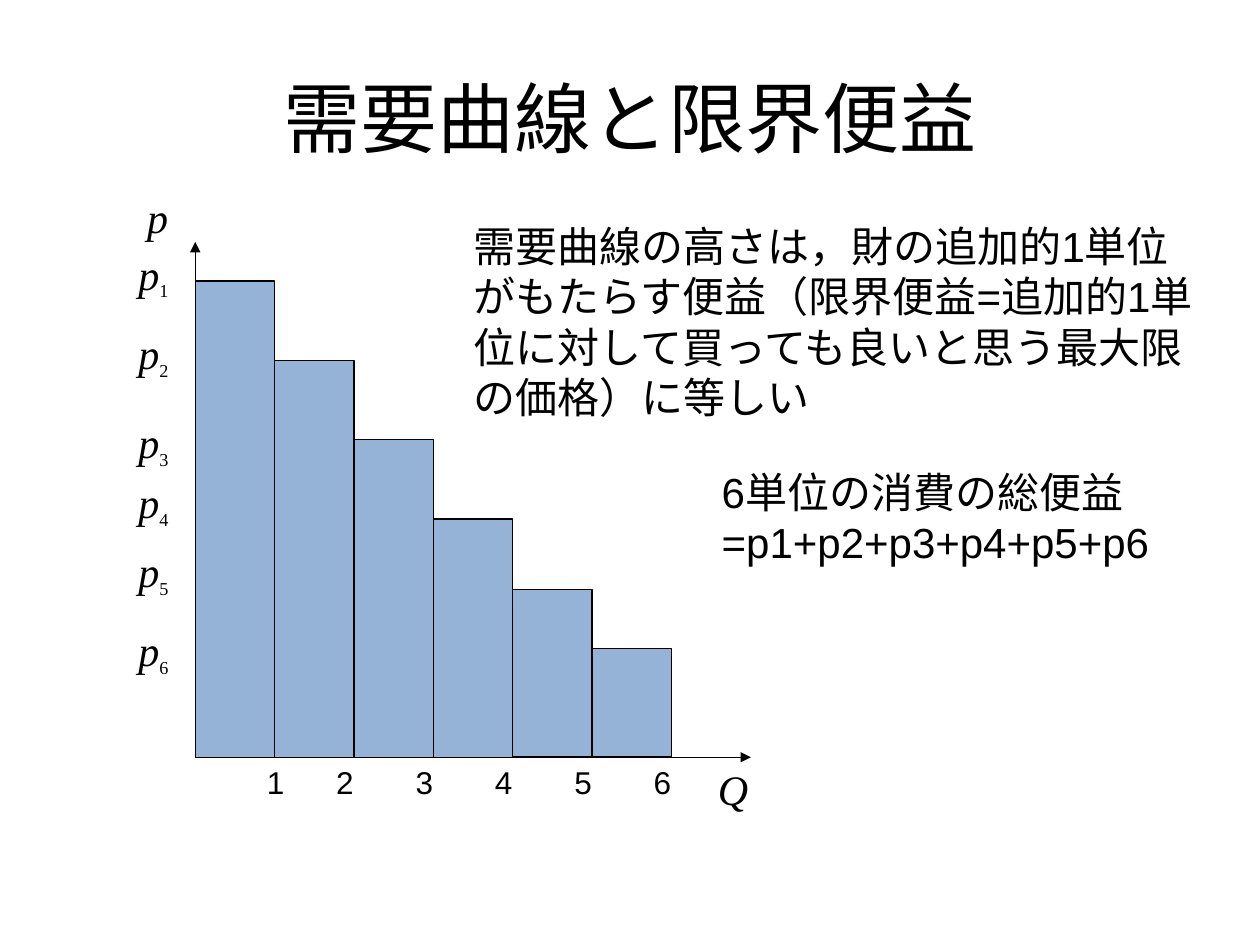
from lxml import etree
from pptx import Presentation
from pptx.dml.color import RGBColor
from pptx.enum.shapes import MSO_CONNECTOR, MSO_SHAPE
from pptx.enum.text import MSO_ANCHOR, MSO_AUTO_SIZE, PP_ALIGN
from pptx.oxml.ns import qn
from pptx.util import Inches, Pt

RECTANGLE = MSO_SHAPE.RECTANGLE
STRAIGHT = MSO_CONNECTOR.STRAIGHT
MIDDLE = MSO_ANCHOR.MIDDLE
CENTER = PP_ALIGN.CENTER
GROW = MSO_AUTO_SIZE.SHAPE_TO_FIT_TEXT

COLORS = {"ink": "000000", "bar": "4F81BD"}
SERIF, SANS = "Times New Roman", "Arial"

prs = Presentation()
prs.slide_width, prs.slide_height = Inches(10), Inches(7.5)
slide = prs.slides.add_slide(prs.slide_layouts[5])


def add_run(paragraph, text, size, font, italic=False):
    run = paragraph.add_run()
    run.text = text
    run.font.size = Pt(size)
    run.font.name = font
    run.font.italic = italic
    run.font.color.rgb = RGBColor.from_string(COLORS["ink"])
    return run


def add_label(left, top, width, height, text, size, font, italic=False, wrap=True):
    box = slide.shapes.add_textbox(Inches(left), Inches(top), Inches(width), Inches(height))
    box.text_frame.word_wrap = wrap
    box.text_frame.auto_size = GROW
    paragraph = box.text_frame.paragraphs[0]
    add_run(paragraph, text, size, font, italic)
    return paragraph


# Title
title = slide.shapes.title
title.left, title.top = Inches(0.5), Inches(0.3)
title.width, title.height = Inches(9), Inches(1.25)
title.text_frame.vertical_anchor = MIDDLE
heading = title.text_frame.paragraphs[0]
heading.alignment = CENTER
add_run(heading, "需要曲線と限界便益", 44, "Calibri")

# Axes, both starting at the origin
origin_x, origin_y = 1.55, 6.01
for end_x, end_y in [(5.96, origin_y), (origin_x, 1.92)]:
    axis = slide.shapes.add_connector(
        STRAIGHT, Inches(origin_x), Inches(origin_y), Inches(end_x), Inches(end_y))
    axis.line.color.rgb = RGBColor.from_string(COLORS["ink"])
    axis.line.width = Pt(0.75)
    etree.SubElement(axis.line._get_or_add_ln(), qn("a:tailEnd"), type="triangle")
    etree.SubElement(axis._element.spPr, qn("a:effectLst"))

add_label(1.07, 1.47, 0.47, 0.5, "p", 24, SERIF, italic=True)
add_label(5.6, origin_y, 0.63, 0.5, "Q", 24, SERIF, italic=True)

# Demand steps: one bar per unit
bar_width = 0.63
bar_tops = [2.23, 2.86, 3.49, 4.12, 4.68, 5.15]
for unit, top in enumerate(bar_tops):
    bar = slide.shapes.add_shape(
        RECTANGLE, Inches(origin_x + unit * bar_width), Inches(top),
        Inches(bar_width), Inches(origin_y - top))
    bar.shadow.inherit = False
    bar.fill.solid()
    bar.fill.fore_color.rgb = RGBColor.from_string(COLORS["bar"])
    bar_color = bar._element.spPr.find(qn("a:solidFill"))[0]
    etree.SubElement(bar_color, qn("a:alpha"), val="60000")
    bar.line.color.rgb = RGBColor.from_string(COLORS["ink"])
    bar.line.width = Pt(0.75)

# Quantity labels
quantity_lefts = [2.02] + [2.57 + step * bar_width for step in range(5)]
for unit, left in enumerate(quantity_lefts, start=1):
    add_label(left, origin_y, 0.34, 0.4, str(unit), 18, SANS, wrap=False)

# Price labels with subscripts
price_tops = [1.92, 2.55, 3.26, 3.73, 4.28, 4.91]
for unit, top in enumerate(price_tops, start=1):
    price = add_label(1, top, 0.47, 0.5, "p", 24, SERIF, italic=True)
    subscript = add_run(price, str(unit), 18, SERIF)
    subscript.font._element.set("baseline", "-25000")

# Explanations
add_label(3.66, 1.7, 5.91, 1.72,
          "需要曲線の高さは，財の追加的1単位がもたらす便益（限界便益=追加的1単位に対して"
          "買っても良いと思う最大限の価格）に等しい", 24, SANS)
add_label(5.63, 3.65, 3.94, 0.9, "6単位の消費の総便益=p1+p2+p3+p4+p5+p6", 24, SANS)

prs.save("out.pptx")
